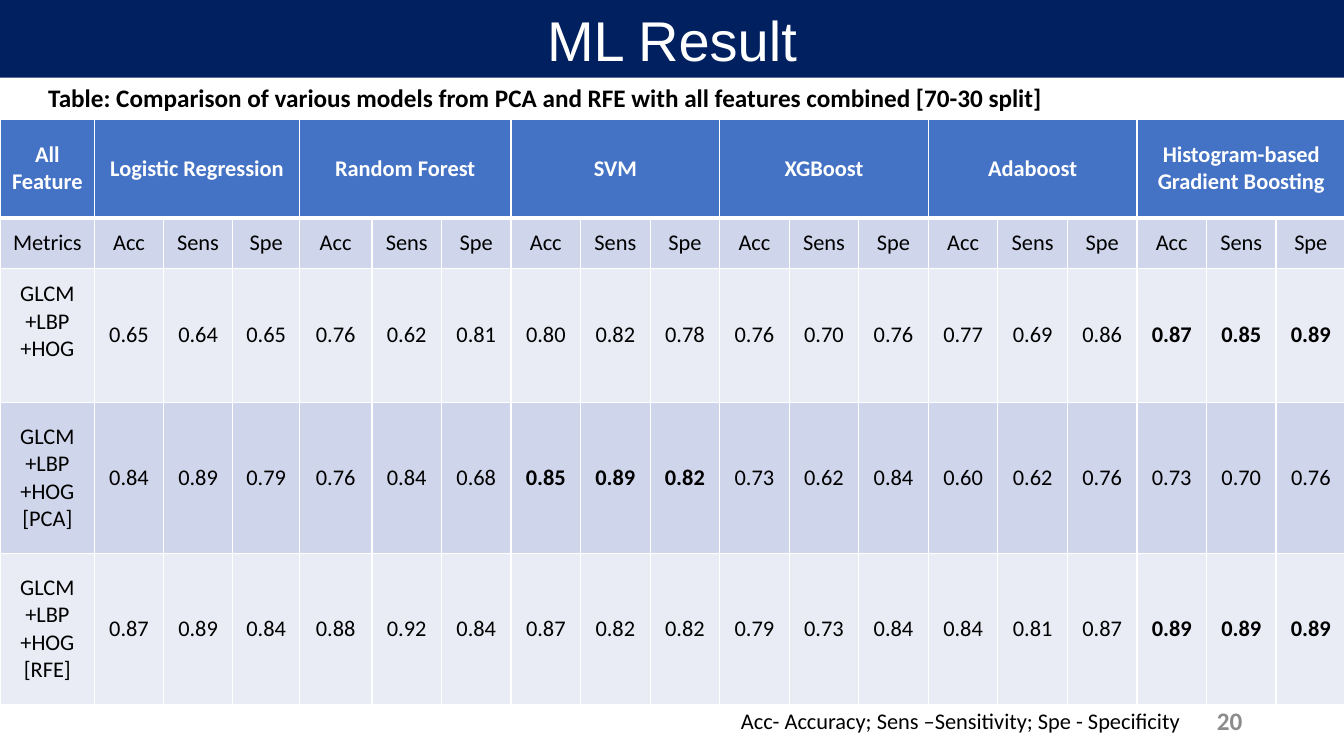
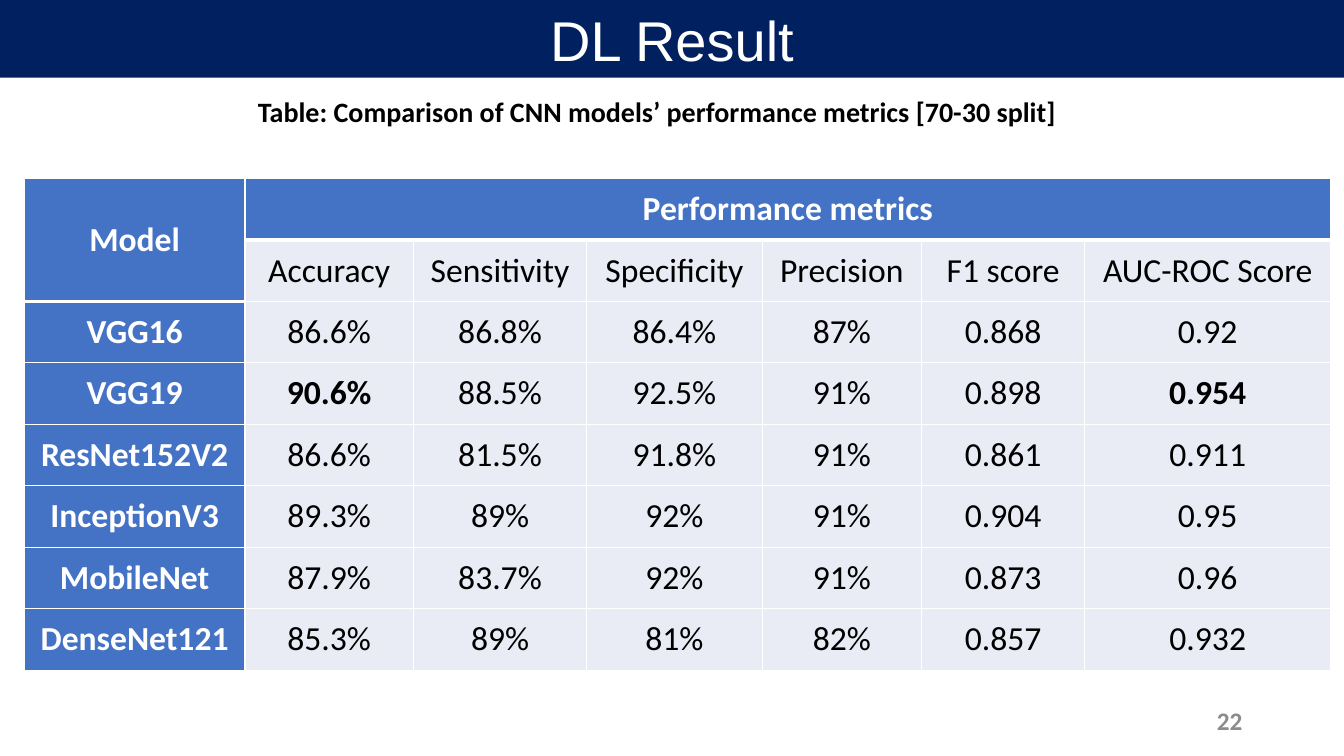
"""Build two result slides, each with a title band, a caption, a table and a page number."""
from pptx import Presentation, util as u
from pptx.dml.color import RGBColor
from pptx.enum import shapes, text
from pptx.oxml import parse_xml
from pptx.oxml.ns import nsdecls

W, H = 13.33, 7.5
NAVY, BLUE, PALE, BAND = "002060", "4472C4", "E9EBF5", "CFD5EA"
WHITE, BLACK, GREY = "FFFFFF", "000000", "8C8C8C"
MID, LEFT, RIGHT = text.PP_ALIGN.CENTER, text.PP_ALIGN.LEFT, text.PP_ALIGN.RIGHT

MODELS = ["Logistic Regression", "Random Forest", "SVM", "XGBoost", "Adaboost",
          "Histogram-based Gradient Boosting"]
SCORES = [
    ("GLCM\n+LBP\n+HOG",
     "0.65 0.64 0.65 0.76 0.62 0.81 0.80 0.82 0.78 0.76 0.70 0.76 0.77 0.69 0.86 0.87 0.85 0.89"),
    ("GLCM\n+LBP\n+HOG\n[PCA]",
     "0.84 0.89 0.79 0.76 0.84 0.68 0.85 0.89 0.82 0.73 0.62 0.84 0.60 0.62 0.76 0.73 0.70 0.76"),
    ("GLCM\n+LBP\n+HOG\n[RFE]",
     "0.87 0.89 0.84 0.88 0.92 0.84 0.87 0.82 0.82 0.79 0.73 0.84 0.84 0.81 0.87 0.89 0.89 0.89"),
]
ML = dict(
    title="ML Result", page="20",
    cap=("Table: Comparison of various models from PCA and RFE with all features combined [70-30 split]",
         (0.38, 0.77, 10.92, 0.4), 18),
    at=(0, 1.18), size=16, pad=(0.1, 0.05),
    cols=[0.94, 0.68, 0.69, 0.66, 0.72] + [0.69] * 14,
    rows=[0.98, 0.5, 1.33, 1.5, 1.5],
    data=[["All Feature"] + [t for m in MODELS for t in (m, "", "")],
          ["Metrics"] + ["Acc", "Sens", "Spe"] * len(MODELS)]
         + [[name] + vals.split() for name, vals in SCORES],
    spans=[(0, c, 0, c + 2) for c in range(1, 19, 3)],
    heads=[1] * 19, side=False, fills=[BAND, PALE],
    bold=[(r, c + i) for r, c in [(2, 16), (3, 7), (4, 16)] for i in range(3)],
)
DL = dict(
    title="DL Result", page="22",
    cap=("Table: Comparison of CNN models’ performance metrics [70-30 split]",
         (2.46, 0.89, 8.42, 0.44), 20),
    at=(0.24, 1.77), size=24, pad=(0.07, 0),
    cols=[2.19, 1.67, 1.72, 1.74, 1.58, 1.62, 2.44],
    rows=[0.61] * 8,
    data=[
        ["Model", "Performance metrics", "", "", "", "", ""],
        ["", "Accuracy", "Sensitivity", "Specificity", "Precision", "F1 score", "AUC-ROC Score"],
        ["VGG16", "86.6%", "86.8%", "86.4%", "87%", "0.868", "0.92"],
        ["VGG19", "90.6%", "88.5%", "92.5%", "91%", "0.898", "0.954"],
        ["ResNet152V2", "86.6%", "81.5%", "91.8%", "91%", "0.861", "0.911"],
        ["InceptionV3", "89.3%", "89%", "92%", "91%", "0.904", "0.95"],
        ["MobileNet", "87.9%", "83.7%", "92%", "91%", "0.873", "0.96"],
        ["DenseNet121", "85.3%", "89%", "81%", "82%", "0.857", "0.932"],
    ],
    spans=[(0, 0, 1, 0), (0, 1, 0, 6)],
    heads=[2] + [1] * 6, side=True, fills=[PALE],
    bold=[(3, 1), (3, 6)],
)
NOTE = "Acc- Accuracy; Sens –Sensitivity; Spe - Specificity"


def color(code):
    return RGBColor.from_string(code)


def inch(vals):
    return [u.Inches(v) for v in vals]


def style(frame, size, code, bold=False, align=LEFT, font="Calibri"):
    for par in frame.paragraphs:
        par.alignment = align
        for run in par.runs:
            run.font.size, run.font.name, run.font.bold = u.Pt(size), font, bold
            run.font.color.rgb = color(code)


def label(slide, words, at, size, code=BLACK, wrap=True, anchor=text.MSO_ANCHOR.TOP, **look):
    frame = slide.shapes.add_textbox(*inch(at)).text_frame
    frame.word_wrap, frame.vertical_anchor = wrap, anchor
    frame.text = words
    style(frame, size, code, **look)


def edge(cell, top, low):
    props = cell._tc.get_or_add_tcPr()
    for side, width in zip("LRTB", (1, 1, top, low)):
        props.append(parse_xml(
            f'<a:ln{side} {nsdecls("a")} w="{u.Pt(width)}"><a:solidFill>'
            f'<a:srgbClr val="{WHITE}"/></a:solidFill></a:ln{side}>'))


def frame_page(deck, plan):
    slide = deck.slides.add_slide(deck.slide_layouts[6])
    label(slide, plan["page"], (9.42, 6.95, 3, 0.4), 18, GREY,
          anchor=text.MSO_ANCHOR.MIDDLE, bold=True, align=RIGHT)
    band = slide.shapes.add_shape(shapes.MSO_SHAPE.RECTANGLE, *inch((0, 0, W, 0.77)))
    band.shadow.inherit = False
    band.fill.solid()
    band.fill.fore_color.rgb = color(NAVY)
    band.line.fill.background()
    band.text_frame.text = plan["title"]
    style(band.text_frame, 40, WHITE, align=MID, font="Arial")
    words, at, size = plan["cap"]
    label(slide, words, at, size, bold=True)
    return slide


def grid(slide, plan):
    cols, rows, fills = plan["cols"], plan["rows"], plan["fills"]
    table = slide.shapes.add_table(
        len(rows), len(cols), *inch((*plan["at"], sum(cols), sum(rows)))).table
    table.first_row = table.horz_banding = False
    for col, width in zip(table.columns, cols):
        col.width = u.Inches(width)
    for row, height in zip(table.rows, rows):
        row.height = u.Inches(height)
    for r, line in enumerate(plan["data"]):
        for c, words in enumerate(line):
            cell, deep = table.cell(r, c), plan["heads"][c]
            head = r < deep or (plan["side"] and c == 0)
            edge(cell, 3 if r == deep else 1, 3 if r < deep else 1)
            cell.fill.solid()
            cell.fill.fore_color.rgb = color(BLUE if head else fills[(r - 1) % len(fills)])
            cell.vertical_anchor = text.MSO_ANCHOR.MIDDLE
            across, down = inch(plan["pad"])
            cell.margin_left = cell.margin_right = across
            cell.margin_top = cell.margin_bottom = down
            cell.text_frame.text = words
            style(cell.text_frame, plan["size"], WHITE if head else BLACK,
                  head or (r, c) in plan["bold"], MID)
    for top, left, low, right in plan["spans"]:
        table.cell(top, left).merge(table.cell(low, right))
    return table


def main():
    deck = Presentation()
    deck.slide_width, deck.slide_height = inch((W, H))
    slide = frame_page(deck, ML)
    table = grid(slide, ML)
    table.cell(2, 0).margin_bottom = u.Inches(0.32)
    label(slide, NOTE, (7.25, 6.97, 4.61, 0.37), 16, wrap=False)
    grid(frame_page(deck, DL), DL)
    deck.save("out.pptx")


if __name__ == "__main__":
    main()
